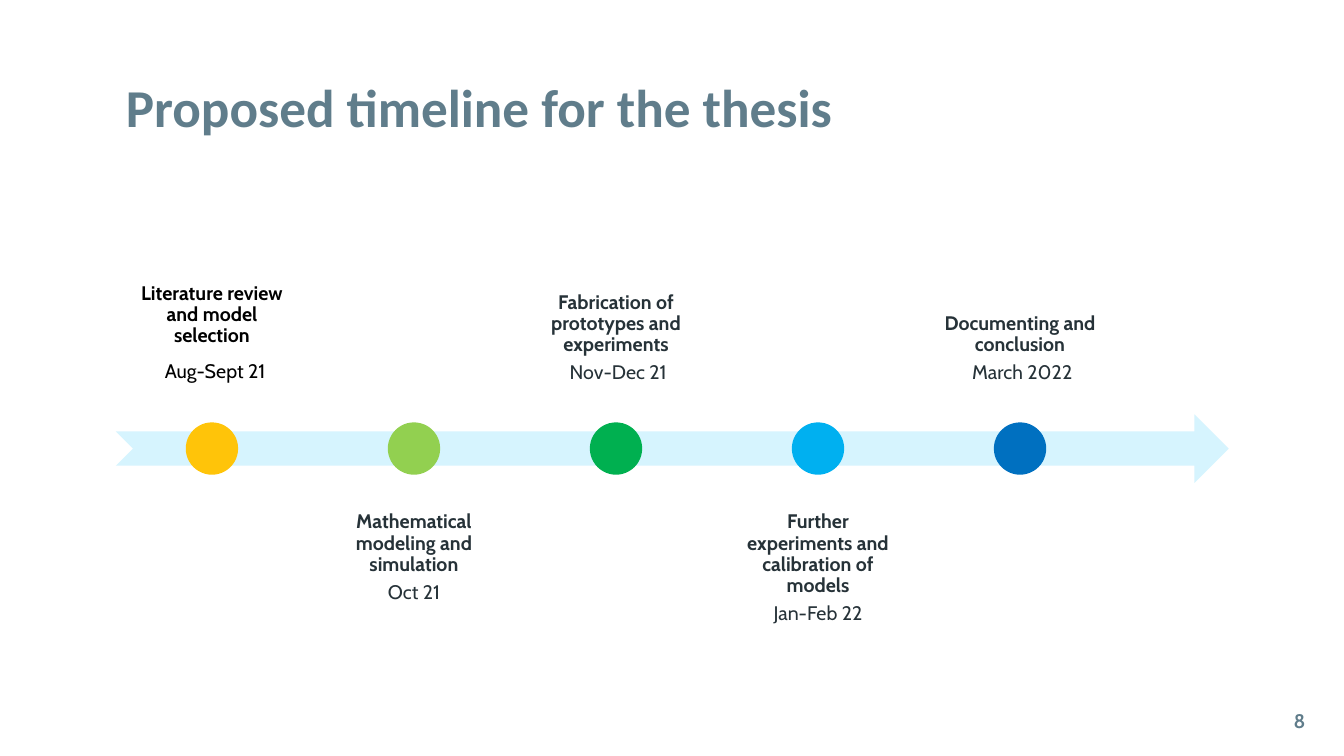
"""Builds the thesis timeline slide."""
from pptx import Presentation
from pptx.dml.color import RGBColor
from pptx.enum import shapes, text
from pptx.util import Pt

TITLE = "Proposed timeline for the thesis"
PAGE = "8"
COLORS = {
    "slate": "607D8B", "ink": "263238", "black": "000000", "band": "D6F4FE",
    "amber": "FFC409", "lime": "92D050", "green": "00B050",
    "sky": "00B0F0", "blue": "0070C0",
}
MILESTONES = [
    {"task": "Literature review and model selection", "date": "Aug-Sept 21",
     "dot": "amber", "ink": "black", "lead": 20},
    {"task": "Mathematical modeling and simulation", "date": "Oct 21", "dot": "lime"},
    {"task": "Fabrication of prototypes and experiments", "date": "Nov-Dec 21",
     "dot": "green", "lead": 14},
    {"task": "Further experiments and calibration of models", "date": "Jan-Feb 22",
     "dot": "sky"},
    {"task": "Documenting and conclusion", "date": "March 2022",
     "dot": "blue", "lead": 14},
]

LEFT, WIDTH = 82.8, 794.9
BAND_TOP, BAND_HEIGHT = 295.9, 49
FIRST_CENTER, STEP = 151.4, 144.3
DOT = 37.4
LABEL_WIDTH, LABEL_HEIGHT = 137.5, 149.8
LABEL_TOPS = (132.5, 357.8)


def add_text(slide, box, paragraphs, *, color, font="Cabin", inset=7.2, spacing=1.0,
             after=0, align=text.PP_ALIGN.LEFT, anchor=text.MSO_ANCHOR.TOP):
    """Adds a text box; each paragraph is a list of (words, size, bold) runs."""
    frame = slide.shapes.add_textbox(*map(Pt, box)).text_frame
    frame.word_wrap = True
    frame.vertical_anchor = anchor
    frame.margin_left = frame.margin_right = Pt(inset)
    frame.margin_top = frame.margin_bottom = Pt(inset)
    for index, runs in enumerate(paragraphs):
        paragraph = frame.add_paragraph() if index else frame.paragraphs[0]
        paragraph.alignment = align
        paragraph.line_spacing = spacing
        paragraph.space_after = Pt(after)
        for words, size, bold in runs:
            run = paragraph.add_run()
            run.text = words
            run.font.name, run.font.size, run.font.bold = font, Pt(size), bold
            run.font.color.rgb = RGBColor.from_string(COLORS[color])


def add_solid(slide, preset, box, color):
    """Adds a plain filled shape without outline or shadow."""
    solid = slide.shapes.add_shape(preset, *map(Pt, box))
    solid.shadow.inherit = False
    solid.fill.solid()
    solid.fill.fore_color.rgb = RGBColor.from_string(COLORS[color])
    solid.line.fill.background()


def add_milestone(slide, index, milestone):
    """Adds a dot on the band and its label, alternately above and below."""
    center = FIRST_CENTER + index * STEP
    below = index % 2
    date = [(milestone["date"], 14, False)]
    if "lead" in milestone:
        date.insert(0, (" ", milestone["lead"], False))
    add_text(slide,
             (center - LABEL_WIDTH / 2, LABEL_TOPS[below], LABEL_WIDTH, LABEL_HEIGHT),
             [[(milestone["task"], 14, True)], date],
             color=milestone.get("ink", "ink"), inset=7.9, spacing=0.9, after=4.9,
             align=text.PP_ALIGN.CENTER,
             anchor=text.MSO_ANCHOR.TOP if below else text.MSO_ANCHOR.BOTTOM)
    dot_top = BAND_TOP + (BAND_HEIGHT - DOT) / 2
    add_solid(slide, shapes.MSO_SHAPE.OVAL,
              (center - DOT / 2, dot_top, DOT, DOT), milestone["dot"])


def main():
    """Builds and saves the slide."""
    deck = Presentation()
    deck.slide_width, deck.slide_height = Pt(960), Pt(540)
    slide = deck.slides.add_slide(deck.slide_layouts[6])
    add_text(slide, (LEFT, 32.4, WIDTH, 73.4), [[(TITLE, 38, True)]],
             color="slate", font="Calibri", anchor=text.MSO_ANCHOR.BOTTOM)
    add_solid(slide, shapes.MSO_SHAPE.NOTCHED_RIGHT_ARROW,
              (LEFT, BAND_TOP, WIDTH, BAND_HEIGHT), "band")
    for index, milestone in enumerate(MILESTONES):
        add_milestone(slide, index, milestone)
    add_text(slide, (882, 499, 57.6, 41), [[(PAGE, 14, True)]],
             color="slate", align=text.PP_ALIGN.RIGHT)
    deck.save("out.pptx")


if __name__ == "__main__":
    main()
